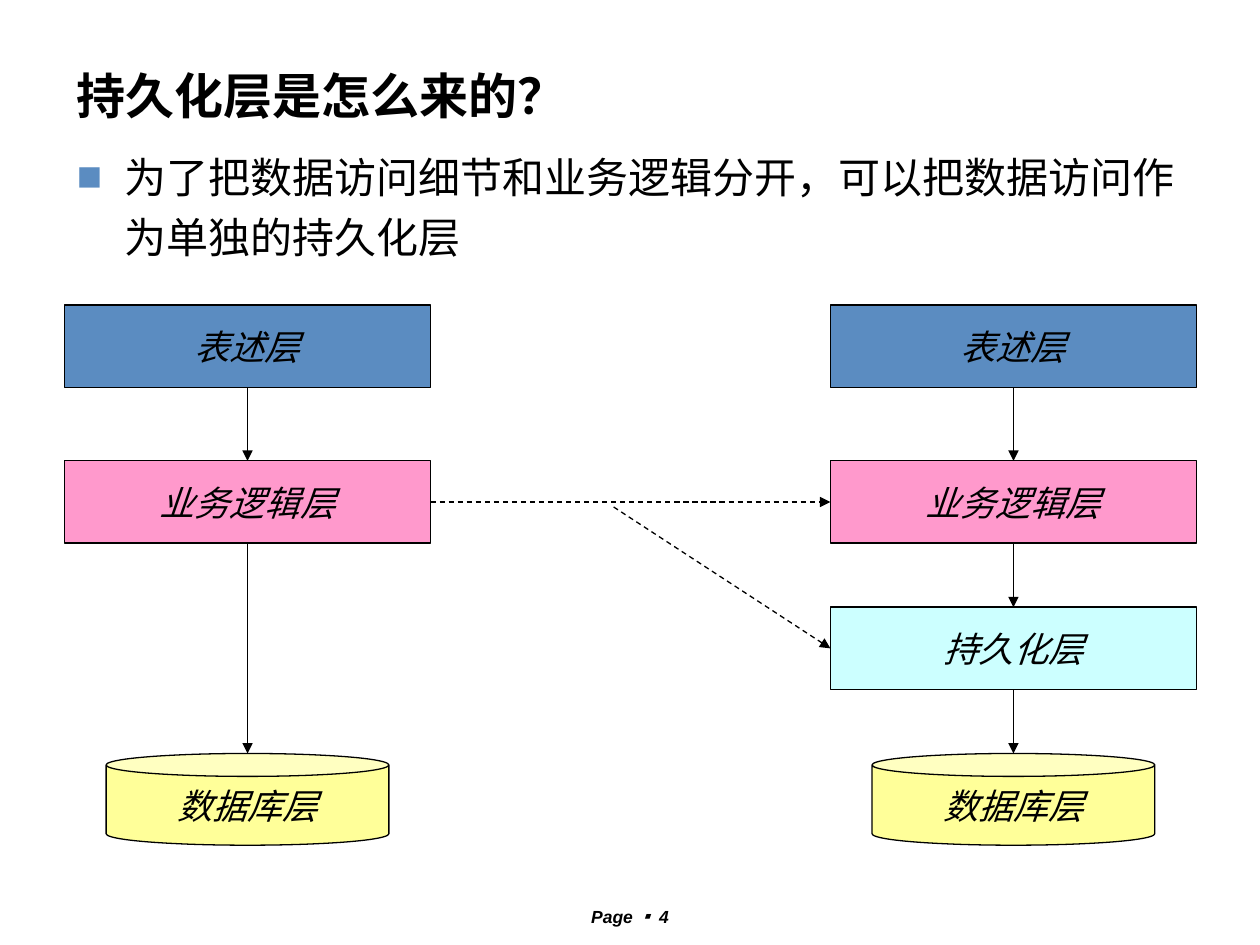
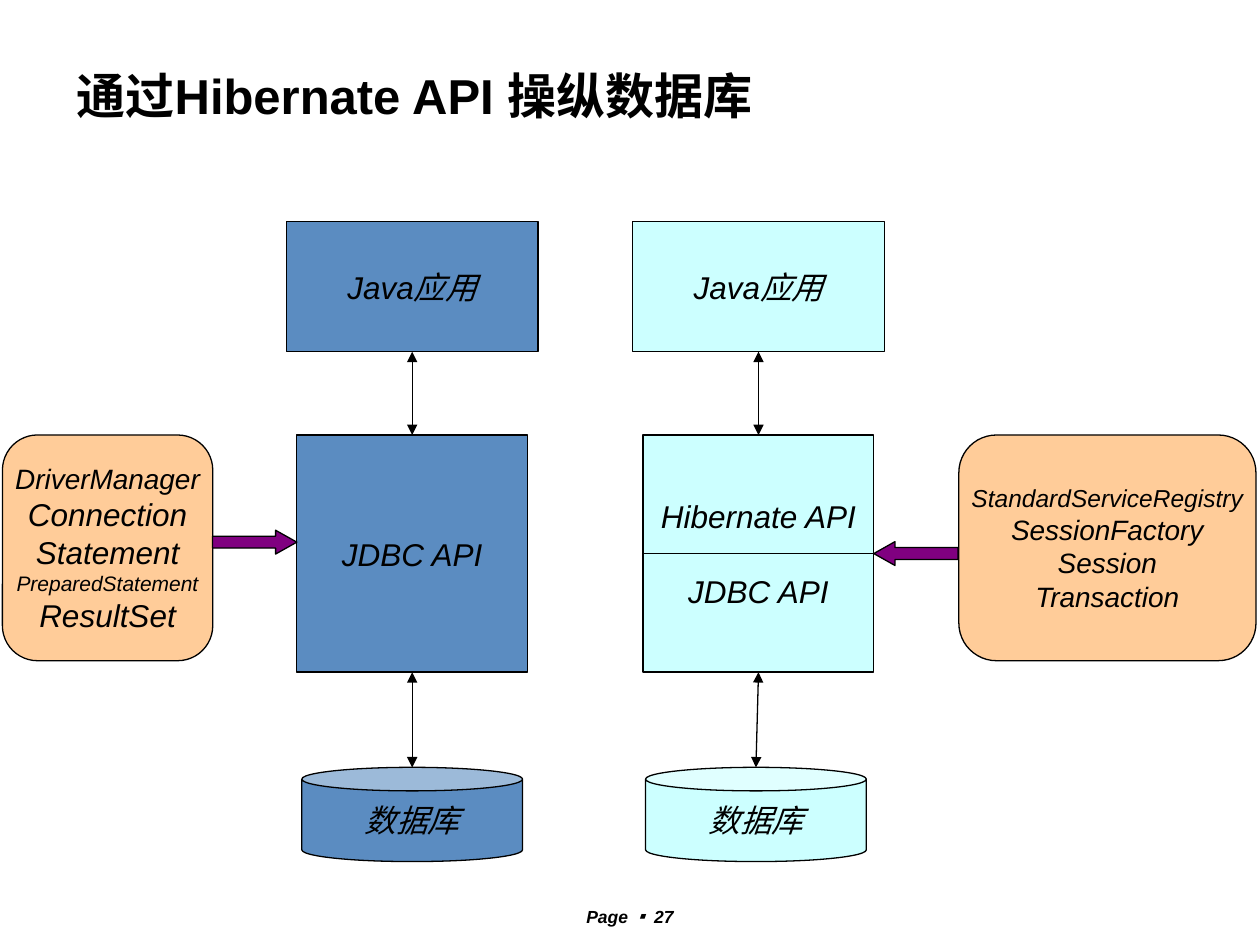
from dataclasses import dataclass
from itertools import pairwise

from lxml.etree import SubElement
from pptx import Presentation
from pptx.dml.color import RGBColor
from pptx.enum.dml import MSO_LINE
from pptx.enum.shapes import MSO_CONNECTOR, MSO_SHAPE
from pptx.enum.text import MSO_ANCHOR, PP_ALIGN
from pptx.oxml.ns import qn
from pptx.util import Cm, Pt

BLACK = RGBColor(0x00, 0x00, 0x00)
BLUE = RGBColor(0x5B, 0x8C, 0xC1)
PINK = RGBColor(0xFF, 0x99, 0xCC)
CYAN = RGBColor(0xCC, 0xFF, 0xFF)
YELLOW = RGBColor(0xFF, 0xFF, 0x99)
ORANGE = RGBColor(0xFF, 0xCC, 0x99)
PURPLE = RGBColor(0x80, 0x00, 0x80)
LATIN_FONT = "Arial"
ASIAN_FONT = "Noto Sans CJK JP"
LINE_WIDTH = Pt(0.75)
MARGIN = 1.3
CONTENT_WIDTH = 22.8


@dataclass
class Part:
    """One block of a vertical stack, centred in its column."""

    lines: list
    fill: RGBColor
    top: float
    width: float
    height: float
    kind: MSO_SHAPE = MSO_SHAPE.RECTANGLE
    shift: float = 0


def style(para, size, bold=False, italic=False):
    """Set the font of a whole paragraph."""
    font = para.font
    font.name, font.size = LATIN_FONT, Pt(size)
    font.bold, font.italic = bold, italic
    font.color.rgb = BLACK
    defaults = para._p.get_or_add_pPr().find(qn("a:defRPr"))
    SubElement(defaults, qn("a:ea"), typeface=ASIAN_FONT)


def add_text(page, left, top, width, height):
    """Add an empty wrapping text box."""
    box = page.shapes.add_textbox(Cm(left), Cm(top), Cm(width), Cm(height))
    box.text_frame.word_wrap = True
    return box.text_frame


def add_frame(page, title, number):
    """Add the title and the page number that every slide carries."""
    frame = add_text(page, MARGIN, 1.12, CONTENT_WIDTH, 1.6)
    frame.vertical_anchor = MSO_ANCHOR.MIDDLE
    frame.text = title
    style(frame.paragraphs[0], 28, bold=True)

    para = add_text(page, 10.7, 18.13, 4, 0.56).paragraphs[0]
    para.alignment = PP_ALIGN.CENTER
    style(para, 10, bold=True, italic=True)
    for words in ("Page ", "▪ ", str(number)):
        span = para.add_run()
        span.text = words
        if words == "▪ ":
            span.font.name = ASIAN_FONT


def add_bullet(page, words):
    """Add the body text with its square bullet."""
    frame = add_text(page, MARGIN, 2.72, CONTENT_WIDTH, 14.4)
    frame.text = words
    para = frame.paragraphs[0]
    para.line_spacing = 1.2
    properties = para._p.get_or_add_pPr()
    properties.set("marL", str(Cm(0.96)))
    properties.set("indent", str(-Cm(0.96)))
    colour = SubElement(properties, qn("a:buClr"))
    SubElement(colour, qn("a:srgbClr"), val=str(BLUE))
    SubElement(properties, qn("a:buFont"), typeface=LATIN_FONT)
    SubElement(properties, qn("a:buChar"), char="■")
    style(para, 24)


def add_block(page, kind, box, fill, lines=(), gap=0):
    """Add an outlined shape with centred (words, size) lines."""
    shape = page.shapes.add_shape(kind, *map(Cm, box))
    shape.shadow.inherit = False
    shape.fill.solid()
    shape.fill.fore_color.rgb = fill
    shape.line.color.rgb = BLACK
    shape.line.width = LINE_WIDTH
    frame = shape.text_frame
    frame.word_wrap = False
    frame.vertical_anchor = MSO_ANCHOR.MIDDLE
    for index, (words, size) in enumerate(lines):
        para = frame.add_paragraph() if index else frame.paragraphs[0]
        para.text = words
        para.alignment = PP_ALIGN.CENTER
        if index and gap:
            para.space_before = Pt(gap)
        style(para, size, italic=True)
    return shape


def add_line(page, start, end, heads=(), dashed=False):
    """Add a thin straight line with triangles at the named ends."""
    line = page.shapes.add_connector(
        MSO_CONNECTOR.STRAIGHT, *map(Cm, (*start, *end)))
    line.line.color.rgb = BLACK
    line.line.width = LINE_WIDTH
    if dashed:
        line.line.dash_style = MSO_LINE.DASH
    outline = line.line._get_or_add_ln()
    for head in heads:
        SubElement(outline, qn(f"a:{head}"), type="triangle")
    SubElement(line._element.spPr, qn("a:effectLst"))


def add_stack(page, left, top, width, parts, heads):
    """Add a column of blocks joined from each one to the next."""
    centre = left + width / 2
    for part in parts:
        box = (centre + part.shift - part.width / 2, top + part.top,
               part.width, part.height)
        add_block(page, part.kind, box, part.fill, part.lines, gap=21)
    for upper, lower in pairwise(parts):
        add_line(page, (centre + upper.shift, top + upper.top + upper.height),
                 (centre + lower.shift, top + lower.top), heads)


def build_layers_page(page):
    """Show how the persistence layer splits off from business logic."""
    add_frame(page, "持久化层是怎么来的？", 4)
    add_bullet(page, "为了把数据访问细节和业务逻辑分开，可以把数据访问作为单独的持久化层")

    top, width, height = 6.15, 7.38, 1.66
    left, right = MARGIN, 16.74
    logic_top, storage_top = 3.14, 6.09
    view = Part([("表述层", 20)], BLUE, 0, width, height)
    logic = Part([("业务逻辑层", 20)], PINK, logic_top, width, height)
    storage = Part([("持久化层", 20)], CYAN, storage_top, width, height)
    database = Part([("数据库层", 20)], YELLOW, 9.04, 5.7, 1.85, MSO_SHAPE.CAN)
    heads = ["tailEnd"]
    add_stack(page, left, top, width, [view, logic, database], heads)
    add_stack(page, right, top, width, [view, logic, storage, database], heads)

    logic_middle = top + logic_top + height / 2
    storage_middle = top + storage_top + height / 2
    add_line(page, (left + width, logic_middle), (right, logic_middle),
             heads, dashed=True)
    add_line(page, (12.37, logic_middle + 0.1), (right, storage_middle),
             heads, dashed=True)


def build_api_page(page):
    """Compare direct database access with access through a mapper."""
    add_frame(page, "通过Hibernate API 操纵数据库", 27)

    top, width, api_top, api_width, api_height = 4.47, 5.08, 4.3, 4.65, 4.78
    plain_left, mapped_left = 5.77, 12.75
    columns = [
        (plain_left, BLUE, ["JDBC API"], 0),
        (mapped_left, CYAN, ["Hibernate API", "JDBC API"], -0.05),
    ]
    for left, fill, interfaces, shift in columns:
        api_lines = [(name, 18) for name in interfaces]
        parts = [
            Part([("Java应用", 18)], fill, 0, width, 2.62),
            Part(api_lines, fill, api_top, api_width, api_height),
            Part([("数据库", 18)], fill, 11, 4.45, 1.9, MSO_SHAPE.CAN, shift),
        ]
        add_stack(page, left, top, width, parts, ["headEnd", "tailEnd"])

    inset = (width - api_width) / 2
    api_left, api_right = mapped_left + inset, mapped_left + inset + api_width
    middle = top + api_top + api_height / 2
    add_line(page, (api_left, middle), (api_right, middle))

    panel_top, panel_height = top + api_top, 4.55
    arrow_width, arrow_height = 1.7, 0.48
    plain_classes = [("DriverManager", 16), ("Connection", 18),
                     ("Statement", 18), ("PreparedStatement", 12),
                     ("ResultSet", 18)]
    mapped_classes = [("StandardServiceRegistry", 14), ("SessionFactory", 16),
                      ("Session", 16), ("Transaction", 16)]
    panels = [
        (0.05, 4.24, plain_classes, MSO_SHAPE.RIGHT_ARROW,
         plain_left + inset - arrow_width, 10.69),
        (19.33, 5.99, mapped_classes, MSO_SHAPE.LEFT_ARROW,
         api_right, middle - arrow_height / 2),
    ]
    for left, panel_width, classes, kind, arrow_left, arrow_top in panels:
        add_block(page, MSO_SHAPE.ROUNDED_RECTANGLE,
                  (left, panel_top, panel_width, panel_height), ORANGE, classes)
        arrow = add_block(page, kind, (arrow_left, arrow_top, arrow_width,
                                       arrow_height), PURPLE)
        arrow.adjustments[1] = 0.89


def main():
    """Build the deck and save it."""
    deck = Presentation()
    deck.slide_width, deck.slide_height = Cm(25.4), Cm(19.05)
    for build in (build_layers_page, build_api_page):
        build(deck.slides.add_slide(deck.slide_layouts[6]))
    deck.save("out.pptx")


if __name__ == "__main__":
    main()
